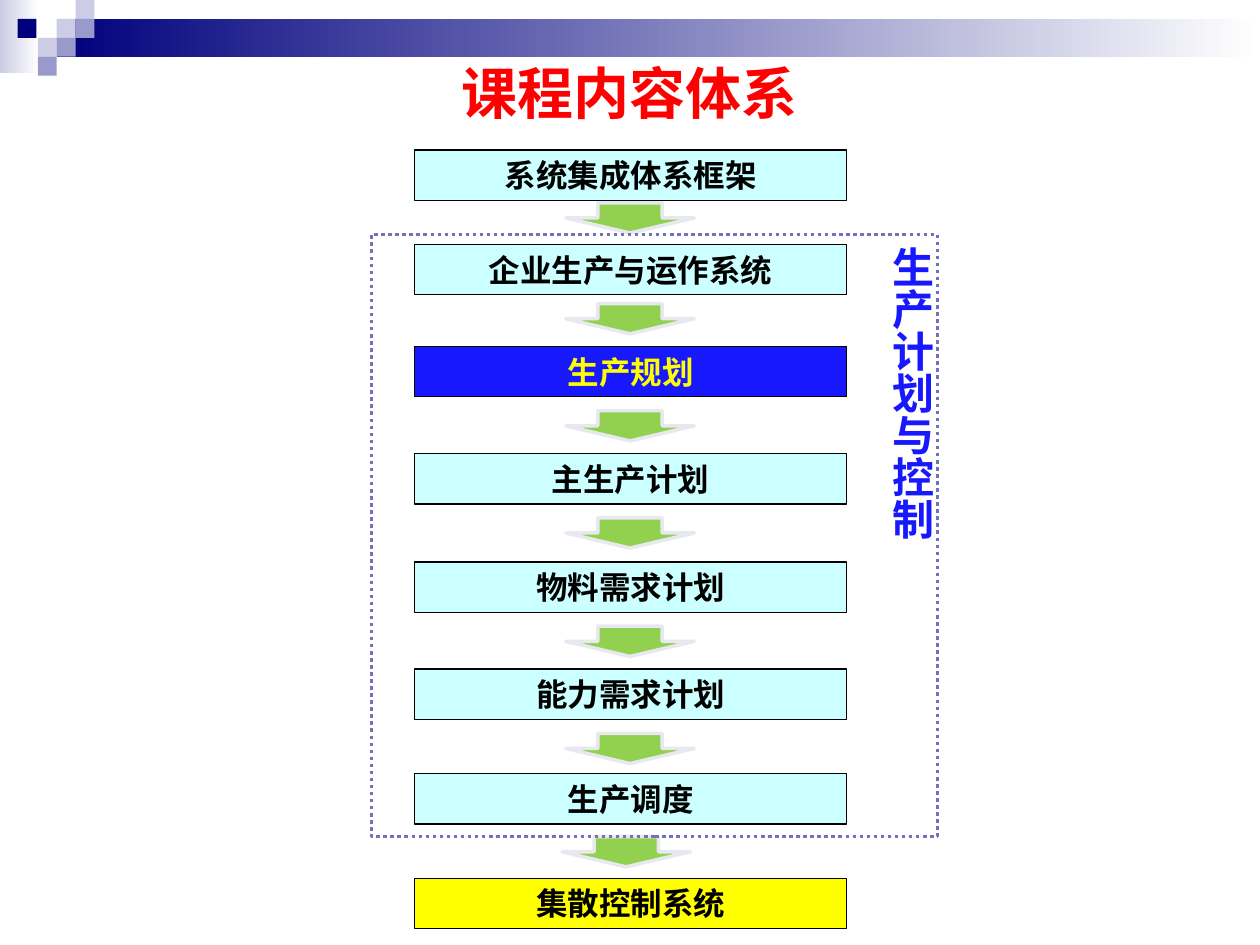
from lxml import etree
from pptx import Presentation
from pptx import util as u
from pptx.dml.color import RGBColor
from pptx.enum import dml, shapes, text
from pptx.oxml.ns import qn

COLORS = {
    "navy": "00007D", "lilac": "CCCCE6", "violet": "9999CC", "white": "FFFFFF",
    "red": "FF0000", "cyan": "CCFFFF", "blue": "1818FF", "yellow": "FFFF00",
    "black": "000000", "green": "92D050", "pale": "E8E8F1", "dots": "7171BD",
}
TITLE = "课程内容体系"
SCOPE = "生产计划与控制"
# text, top, fill, text colour, font
STEPS = [
    ("系统集成体系框架", 1.19, "cyan", "black", "Noto Sans CJK SC"),
    ("企业生产与运作系统", 1.94, "cyan", "black", "Calibri"),
    ("生产规划", 2.75, "blue", "yellow", "Calibri"),
    ("主生产计划", 3.6, "cyan", "black", "Calibri"),
    ("物料需求计划", 4.46, "cyan", "black", "Calibri"),
    ("能力需求计划", 5.31, "cyan", "black", "Calibri"),
    ("生产调度", 6.14, "cyan", "black", "Calibri"),
    ("集散控制系统", 6.97, "yellow", "black", "Calibri"),
]
ARROWS = [(4.49, top) for top in (1.61, 2.41, 3.26, 4.11, 4.97, 5.82)] + [(4.46, 6.64)]
BANDS = [((0, 0, 0.31, 0.58), "lilac"), ((0.45, 0.15, 9.55, 0.3), "navy")]
UNIT = 0.15
# column and row in a grid of UNIT squares
SQUARES = [(3, 1, "lilac"), (4, 0, "lilac"), (4, 1, "violet"), (2, 2, "lilac"),
           (0.93, 1, "navy"), (3, 2, "violet"), (2, 3, "violet")]


def rgb(name):
    return RGBColor.from_string(COLORS[name])


def add_block(s, kind, box, fill=None, line=None, width=0.75):
    sp = s.shapes.add_shape(kind, *map(u.Inches, box))
    sp.shadow.inherit = False
    if fill:
        sp.fill.solid()
        sp.fill.fore_color.rgb = rgb(fill)
    else:
        sp.fill.background()
    if line:
        sp.line.color.rgb = rgb(line)
        sp.line.width = u.Pt(width)
    else:
        sp.line.fill.background()
    return sp


def write(sp, words, size, color, font, align=text.PP_ALIGN.CENTER):
    tf = sp.text_frame
    tf.word_wrap = True
    p = tf.paragraphs[0]
    p.text = words
    p.alignment = align
    p.font.size, p.font.bold, p.font.name = u.Pt(size), True, font
    p.font.color.rgb = rgb(color)
    return tf


def add_header(s):
    for box, color in BANDS:
        sp = add_block(s, RECT, box, color)
        sp.fill.gradient()
        sp.fill.gradient_angle = 0
        for stop, name, place in zip(sp.fill.gradient_stops, (color, "white"), (0, 1)):
            stop.color.rgb = rgb(name)
            stop.position = place
    for col, row, color in SQUARES:
        add_block(s, RECT, (col * UNIT, row * UNIT, UNIT, UNIT), color)
    title = s.shapes.add_textbox(*map(u.Inches, (0.5, 0.5, 9, 0.46)))
    tf = write(title, TITLE, 32, "red", "Arial")
    tf.vertical_anchor = text.MSO_ANCHOR.MIDDLE


def add_flow(s):
    for words, top, fill, color, font in STEPS:
        sp = add_block(s, RECT, (3.29, top, 3.43, 0.4), fill, "black")
        write(sp, words, 18, color, font)
    for left, top in ARROWS:
        add_block(s, shapes.MSO_SHAPE.DOWN_ARROW, (left, top, 1.02, 0.24), "green", "pale", 2)


def add_scope(s):
    """Dotted frame with its name in vertical writing along the right side."""
    sp = add_block(s, RECT, (2.95, 1.86, 4.49, 4.78), line="dots", width=2)
    sp.line.dash_style = dml.MSO_LINE.ROUND_DOT
    tf = write(sp, SCOPE, 24, "blue", "Arial", text.PP_ALIGN.LEFT)
    tf.vertical_anchor = text.MSO_ANCHOR.TOP
    tf.margin_right = 0
    sp.element.find(".//" + qn("a:bodyPr")).set("vert", "eaVert")


RECT = shapes.MSO_SHAPE.RECTANGLE
prs = Presentation()
prs.slide_width, prs.slide_height = u.Inches(10), u.Inches(7.5)
s = prs.slides.add_slide(prs.slide_layouts[6])
add_header(s)
add_flow(s)
add_scope(s)
prs.save("out.pptx")
